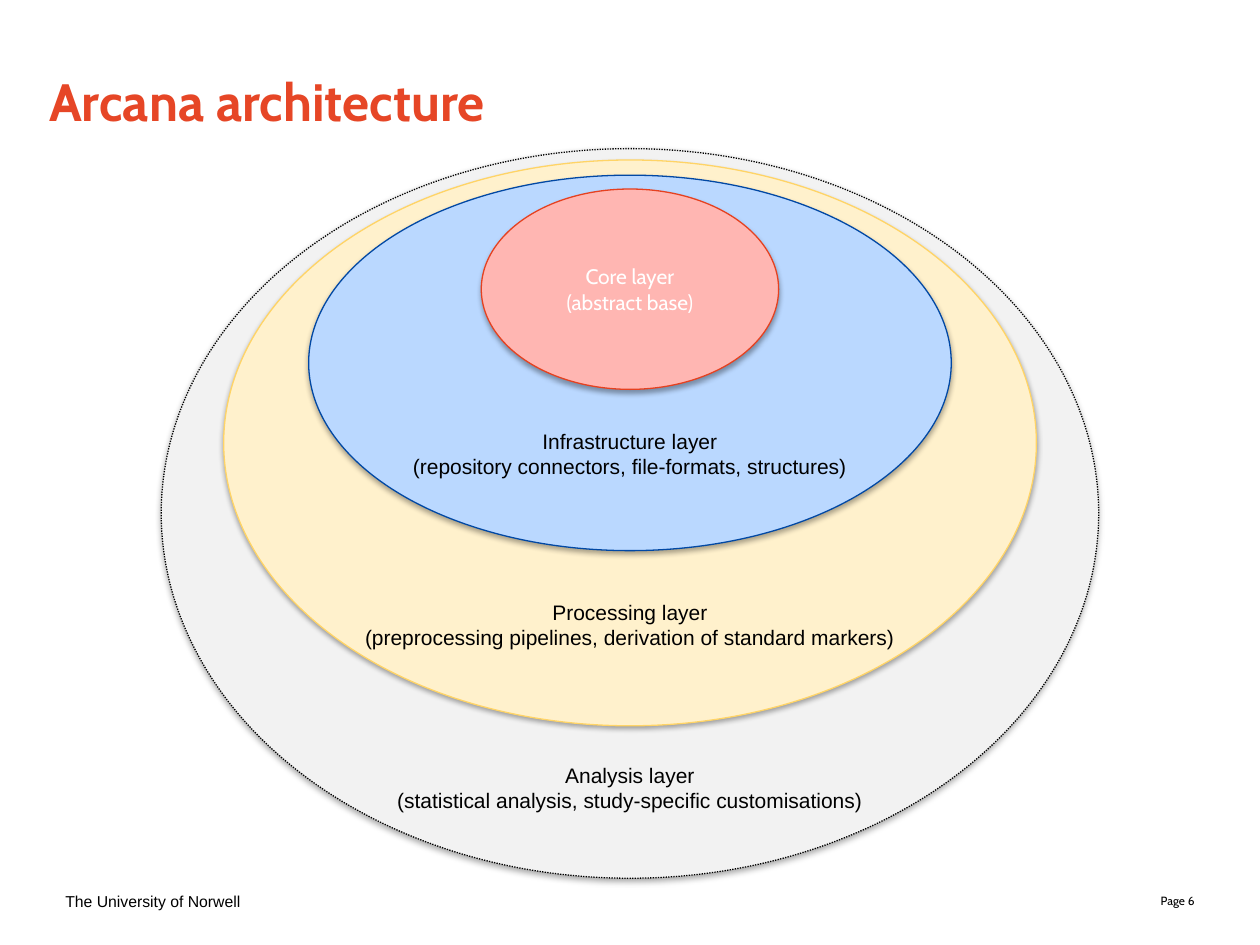
from lxml.etree import SubElement
from pptx import Presentation
from pptx.dml.color import RGBColor
from pptx.enum.dml import MSO_LINE_DASH_STYLE as Dash
from pptx.enum.shapes import MSO_SHAPE
from pptx.enum.text import MSO_ANCHOR as Anchor, MSO_AUTO_SIZE as AutoSize, PP_ALIGN as Align
from pptx.oxml.ns import qn
from pptx.util import Inches, Pt

BLACK = RGBColor(0x00, 0x00, 0x00)
WHITE = RGBColor(0xFF, 0xFF, 0xFF)
ORANGE = RGBColor(0xE6, 0x46, 0x26)
GREY = RGBColor(0xF2, 0xF2, 0xF2)
CREAM = RGBColor(0xFF, 0xF1, 0xCC)
GOLD = RGBColor(0xFF, 0xD4, 0x66)
SKY = RGBColor(0xBA, 0xD8, 0xFF)
NAVY = RGBColor(0x01, 0x48, 0xA4)
PINK = RGBColor(0xFF, 0xB6, 0xB2)
RED = RGBColor(0xE6, 0x41, 0x20)

CENTRE = 5
LAYERS = [
    (1.18, 7.44, 5.79, GREY, BLACK, Dash.ROUND_DOT),
    (1.27, 6.45, 4.49, CREAM, GOLD, Dash.SOLID),
    (1.39, 5.1, 2.98, SKY, NAVY, Dash.SOLID),
    (1.5, 2.36, 1.59, PINK, RED, Dash.SOLID),
]
LABELS = [
    (6, 3.97, ["Analysis layer", "(statistical analysis, study-specific customisations)"]),
    (4.71, 4.43, ["Processing layer", "(preprocessing pipelines, derivation of standard markers)"]),
    (3.35, 3.68, ["Infrastructure layer", "(repository connectors, file-formats, structures)"]),
]
LABEL_FONT = {"name": "Arial", "size": Pt(12)}
CORE_FONT = {"name": "Cabin", "size": Pt(12)}
TITLE_FONT = {"name": "Cabin", "size": Pt(30), "bold": True}
FOOTER_FONT = {"name": "Arial", "size": Pt(9)}
PAGE_FONT = {"name": "Cabin", "size": Pt(6.8)}


def write(tf, lines, font, color=BLACK, align=Align.LEFT, **frame):
    """Fill a text frame with one formatted paragraph per line."""
    for key, value in frame.items():
        setattr(tf, key, value)
    for i, line in enumerate(lines):
        p = tf.add_paragraph() if i else tf.paragraphs[0]
        p.alignment = align
        r = p.add_run()
        r.text = line
        for key, value in font.items():
            setattr(r.font, key, value)
        r.font.color.rgb = color


def add_shadow(s):
    """Give a shape a soft shadow that falls straight down."""
    s.shadow.inherit = False
    effects = s.element.spPr.find(qn("a:effectLst"))
    shadow = SubElement(effects, qn("a:outerShdw"), blurRad=str(Pt(3.1)),
                        dist=str(Pt(1.8)), dir="5400000", rotWithShape="0")
    color = SubElement(shadow, qn("a:srgbClr"), val=str(BLACK))
    SubElement(color, qn("a:alpha"), val="35000")


def add_layer(shapes, top, width, height, fill, line, dash):
    """Add one centred ellipse and return it."""
    s = shapes.add_shape(MSO_SHAPE.OVAL, Inches(CENTRE - width / 2), Inches(top),
                         Inches(width), Inches(height))
    s.fill.solid()
    s.fill.fore_color.rgb = fill
    for key, value in {"width": Pt(0.75), "dash_style": dash}.items():
        setattr(s.line, key, value)
    s.line.color.rgb = line
    add_shadow(s)
    return s


def add_text(shapes, left, top, width, height, lines, font, **options):
    """Add a text box."""
    box = shapes.add_textbox(Inches(left), Inches(top), Inches(width), Inches(height))
    write(box.text_frame, lines, font, **options)


def add_title(slide, text):
    """Place and format the title placeholder."""
    s = slide.shapes.title
    place = {"left": 0.39, "top": 0.55, "width": 9.22, "height": 0.71}
    for key, value in place.items():
        setattr(s, key, Inches(value))
    write(s.text_frame, [text], TITLE_FONT, ORANGE, vertical_anchor=Anchor.TOP,
          auto_size=AutoSize.NONE, margin_left=0, margin_top=0,
          margin_right=0, margin_bottom=0)


def main():
    """Build the slide and save it."""
    prs = Presentation()
    prs.slide_width, prs.slide_height = Inches(10), Inches(7.5)
    slide = prs.slides.add_slide(prs.slide_layouts[5])
    footer = {"vertical_anchor": Anchor.MIDDLE, "word_wrap": True}
    add_text(slide.shapes, 7.25, 6.95, 2.33, 0.4, ["Page 6"], PAGE_FONT,
             align=Align.RIGHT, **footer)
    add_text(slide.shapes, 0.42, 6.95, 2.33, 0.4, ["The University of Norwell"],
             FOOTER_FONT, **footer)
    add_title(slide, "Arcana architecture")

    shapes = slide.shapes.add_group_shape().shapes
    for layer in LAYERS:
        core = add_layer(shapes, *layer)
    write(core.text_frame, ["Core layer", "(abstract base)"], CORE_FONT, WHITE,
          Align.CENTER, vertical_anchor=Anchor.MIDDLE)
    for top, width, lines in LABELS:
        add_text(shapes, CENTRE - width / 2, top, width, 0.5, lines, LABEL_FONT,
                 align=Align.CENTER, word_wrap=False, auto_size=AutoSize.SHAPE_TO_FIT_TEXT)
    prs.save("out.pptx")


if __name__ == "__main__":
    main()
